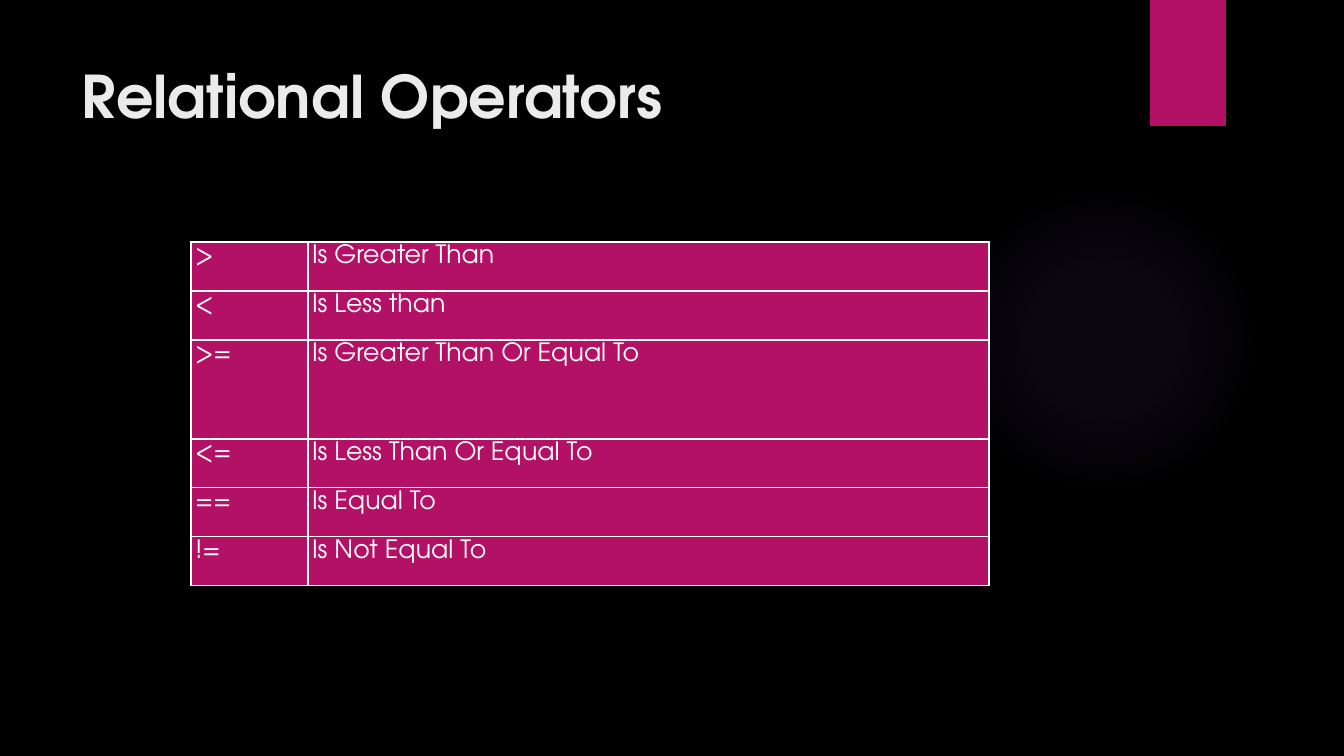
from lxml import etree
from pptx import Presentation
from pptx.dml.color import RGBColor
from pptx.enum.shapes import MSO_SHAPE
from pptx.enum.text import MSO_ANCHOR
from pptx.oxml import parse_xml
from pptx.oxml.ns import qn
from pptx.util import Emu, Pt

TITLE = "Relational Operators"
OPERATORS = [
    (">", "Is Greater Than"),
    ("<", "Is Less than"),
    (">=", "Is Greater Than Or Equal To"),
    ("<=", "Is Less Than Or Equal To"),
    ("==", "Is Equal To"),
    ("!=", "Is Not Equal To"),
]
COLUMN_WIDTHS = [117, 681]
ROW_HEIGHT = 49
TALL_ROW, TALL_HEIGHT = 2, 99
TABLE_LEFT, TABLE_TOP = 191, 242
GLOW_STOPS = [(0, 7), (36, 6), (69, 0)]

FONT = "TeX Gyre Adventor"
BLACK, WHITE, OFF_WHITE = "000000", "FFFFFF", "EBEBEB"
MAGENTA, VIOLET = "B31166", "9B6BF2"
RECTANGLE, OVAL = MSO_SHAPE.RECTANGLE, MSO_SHAPE.OVAL
TOP = MSO_ANCHOR.TOP
DRAWING_NS = "http://schemas.openxmlformats.org/drawingml/2006/main"


def px(length):
    """Turn px into EMU."""
    return Emu(round(length * 914400 / 100.8))


def color(value):
    """Turn a hex string into a colour."""
    return RGBColor.from_string(value)


def write(frame, text, size, line_height, text_color, bold=False):
    """Set one styled line of text."""
    frame.text = text
    line = frame.paragraphs[0]
    line.line_spacing = Pt(line_height)
    font = line.runs[0].font
    font.name, font.size, font.bold = FONT, Pt(size), bold
    font.color.rgb = color(text_color)
    return line


def add_plain(slide, preset, left, top, width, height):
    """Add a shape with neither line nor shadow."""
    shape = slide.shapes.add_shape(preset, px(left), px(top), px(width), px(height))
    shape.shadow.inherit = False
    shape.line.fill.background()
    return shape


def add_glow(slide):
    """Add the soft round glow."""
    glow = add_plain(slide, OVAL, 949, 185, 310, 310)
    stops = "".join(
        f'<a:gs pos="{pos * 1000}"><a:srgbClr val="{VIOLET}">'
        f'<a:alpha val="{alpha * 1000}"/></a:srgbClr></a:gs>'
        for pos, alpha in GLOW_STOPS
    )
    gradient = parse_xml(
        f'<a:gradFill xmlns:a="{DRAWING_NS}"><a:gsLst>{stops}</a:gsLst>'
        '<a:path path="circle"><a:fillToRect l="50000" t="50000" r="50000" b="50000"/>'
        "</a:path></a:gradFill>"
    )
    glow._element.spPr.find(qn("a:prstGeom")).addnext(gradient)


def add_borders(cell):
    """Draw a thin white line on each side of a cell."""
    properties = cell._tc.get_or_add_tcPr()
    for position, side in enumerate(("lnL", "lnR", "lnT", "lnB")):
        border = etree.Element(qn(f"a:{side}"), w=str(Pt(1)))
        fill = etree.SubElement(border, qn("a:solidFill"))
        etree.SubElement(fill, qn("a:srgbClr"), val=WHITE)
        properties.insert(position, border)


def add_operators(slide):
    """Add the table of operators and their meanings."""
    heights = [TALL_HEIGHT if i == TALL_ROW else ROW_HEIGHT for i in range(len(OPERATORS))]
    table = slide.shapes.add_table(
        len(OPERATORS), len(COLUMN_WIDTHS), px(TABLE_LEFT), px(TABLE_TOP),
        px(sum(COLUMN_WIDTHS)), px(sum(heights)),
    ).table
    table.first_row = table.horz_banding = False
    for column, width in zip(table.columns, COLUMN_WIDTHS):
        column.width = px(width)
    for row, height, operator in zip(table.rows, heights, OPERATORS):
        row.height = px(height)
        for cell, text in zip(row.cells, operator):
            cell.margin_left = cell.margin_right = cell.margin_top = cell.margin_bottom = 0
            cell.vertical_anchor = TOP
            cell.fill.solid()
            cell.fill.fore_color.rgb = color(MAGENTA)
            line = write(cell.text_frame, text, 18, 19, WHITE)
            line._p.get_or_add_pPr().set("marL", str(px(4)))
            add_borders(cell)


def main():
    """Build the slide."""
    deck = Presentation()
    deck.slide_width, deck.slide_height = px(1344), px(756)
    slide = deck.slides.add_slide(deck.slide_layouts[6])
    slide.background.fill.solid()
    slide.background.fill.fore_color.rgb = color(BLACK)

    add_glow(slide)
    ribbon = add_plain(slide, RECTANGLE, 1150, 0, 76, 126)
    ribbon.fill.solid()
    ribbon.fill.fore_color.rgb = color(MAGENTA)

    title = slide.shapes.add_textbox(px(72), px(50), px(1037), px(154)).text_frame
    title.word_wrap = True
    title.vertical_anchor = TOP
    write(title, TITLE, 42, 54, OFF_WHITE, bold=True)

    add_operators(slide)
    deck.save("out.pptx")


if __name__ == "__main__":
    main()
